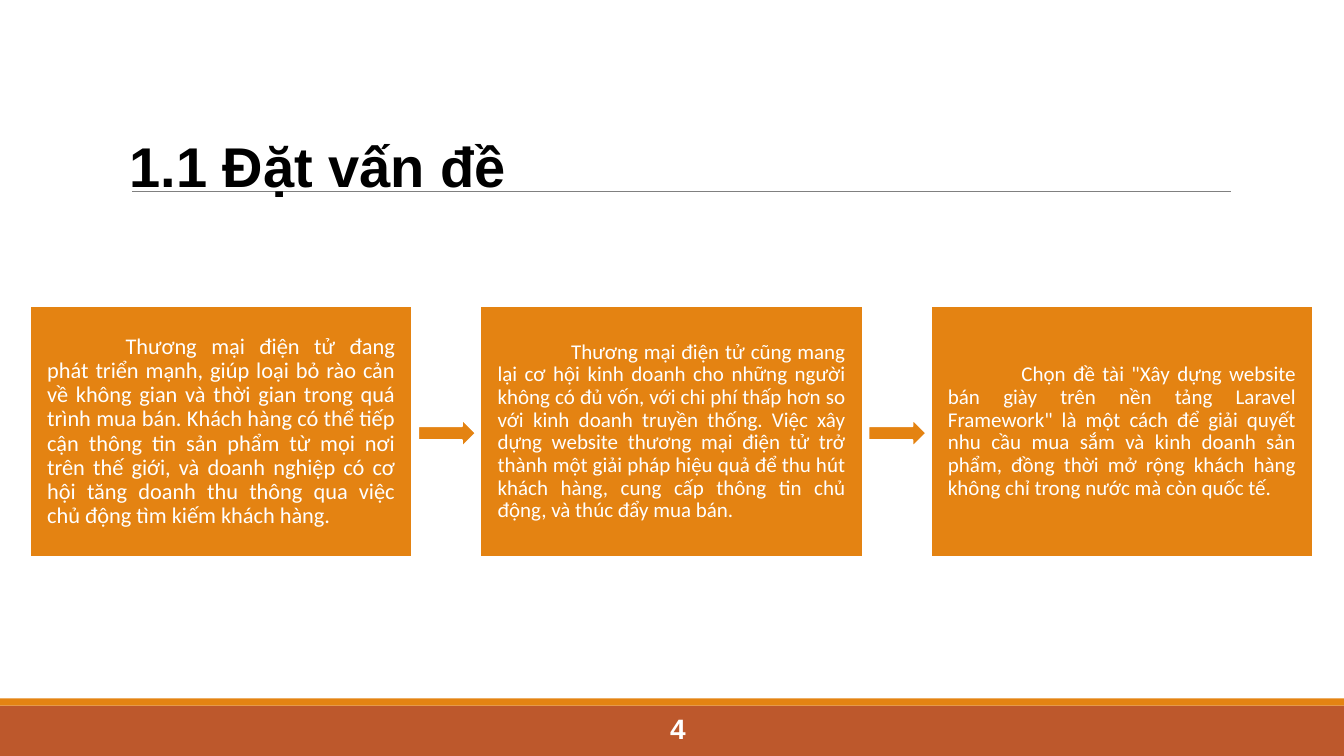
from lxml import etree
from pptx import Presentation
from pptx.dml.color import RGBColor
from pptx.enum.shapes import MSO_CONNECTOR, MSO_SHAPE
from pptx.enum.text import MSO_ANCHOR, PP_ALIGN
from pptx.oxml.ns import qn
from pptx.util import Cm, Pt

RECT = MSO_SHAPE.RECTANGLE
ARROW = MSO_SHAPE.RIGHT_ARROW
LINE = MSO_CONNECTOR.STRAIGHT
MIDDLE = MSO_ANCHOR.MIDDLE
JUSTIFY = PP_ALIGN.JUSTIFY

COLORS = {
    "orange": "E48312",
    "rust": "BD582C",
    "gray": "808080",
    "white": "FFFFFF",
    "black": "000000",
}
RGB = {name: RGBColor.from_string(code) for name, code in COLORS.items()}

STEPS = [
    (16, "Thương mại điện tử đang phát triển mạnh, giúp loại bỏ rào cản về không gian và thời gian trong quá trình mua bán. Khách hàng có thể tiếp cận thông tin sản phẩm từ mọi nơi trên thế giới, và doanh nghiệp có cơ hội tăng doanh thu thông qua việc chủ động tìm kiếm khách hàng."),
    (15, "Thương mại điện tử cũng mang lại cơ hội kinh doanh cho những người không có đủ vốn, với chi phí thấp hơn so với kinh doanh truyền thống. Việc xây dựng website thương mại điện tử trở thành một giải pháp hiệu quả để thu hút khách hàng, cung cấp thông tin chủ động, và thúc đẩy mua bán."),
    (15, 'Chọn đề tài "Xây dựng website bán giày trên nền tảng Laravel Framework" là một cách để giải quyết nhu cầu mua sắm và kinh doanh sản phẩm, đồng thời mở rộng khách hàng không chỉ trong nước mà còn quốc tế.'),
]

deck = Presentation()
deck.slide_width = Cm(33.87)
deck.slide_height = Cm(19.05)
slide = deck.slides.add_slide(deck.slide_layouts[6])
shapes = slide.shapes


def add_block(kind, left, top, width, height, fill, edge=None):
    block = shapes.add_shape(kind, Cm(left), Cm(top), Cm(width), Cm(height))
    block.shadow.inherit = False
    block.fill.solid()
    block.fill.fore_color.rgb = RGB[fill]
    if edge:
        block.line.color.rgb = RGB[edge]
        block.line.width = Pt(1.25)
    else:
        block.line.fill.background()
    return block


def set_text(frame, text, font, size, color, bold=False):
    para = frame.paragraphs[0]
    para.text = text
    para.font.name = font
    para.font.size = Pt(size)
    para.font.bold = bold
    para.font.color.rgb = RGB[color]
    return para


add_block(RECT, 0, 17.78, 33.87, 1.27, "rust")
add_block(RECT, 0, 17.6, 33.87, 0.18, "orange")

rule = shapes.add_connector(LINE, Cm(3.33), Cm(4.83), Cm(31.01), Cm(4.83))
rule.line.color.rgb = RGB["gray"]
rule.line.width = Pt(0.5)
etree.SubElement(rule._element.spPr, qn("a:effectLst"))

title = shapes.add_textbox(Cm(3.02), Cm(3.2), Cm(10.08), Cm(1.96))
title.text_frame.word_wrap = False
set_text(title.text_frame, "1.1 Đặt vấn đề", "Arial", 40, "black", True)

for i, (size, text) in enumerate(STEPS):
    left = 0.76 + i * 11.35
    box = add_block(RECT, left, 7.72, 9.63, 6.32, "orange", "white")
    frame = box.text_frame
    frame.word_wrap = True
    frame.vertical_anchor = MIDDLE
    frame.margin_left = frame.margin_right = Cm(0.43)
    frame.margin_top = frame.margin_bottom = Cm(0.43)
    para = set_text(frame, "\t" + text, "Calibri", size, "white")
    para.alignment = JUSTIFY
    para.line_spacing = 0.9
    para._p.get_or_add_pPr().set("defTabSz", str(size * 44450))
    if i < len(STEPS) - 1:
        add_block(ARROW, left + 9.78, 10.57, 1.45, 0.69, "orange", "white")

number = shapes.add_textbox(Cm(16.64), Cm(17.81), Cm(1.07), Cm(1.12))
number.text_frame.word_wrap = True
set_text(number.text_frame, "4", "Arial", 20, "white", True)

deck.save("out.pptx")
